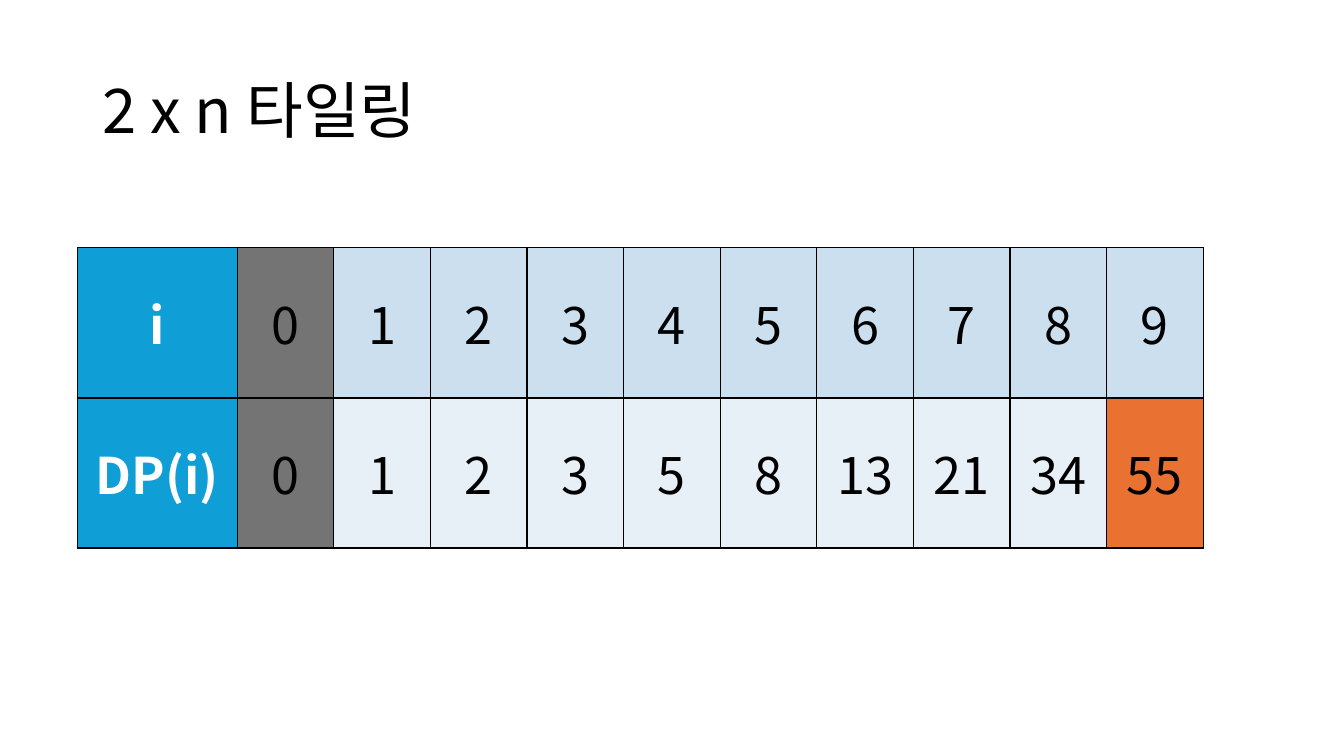
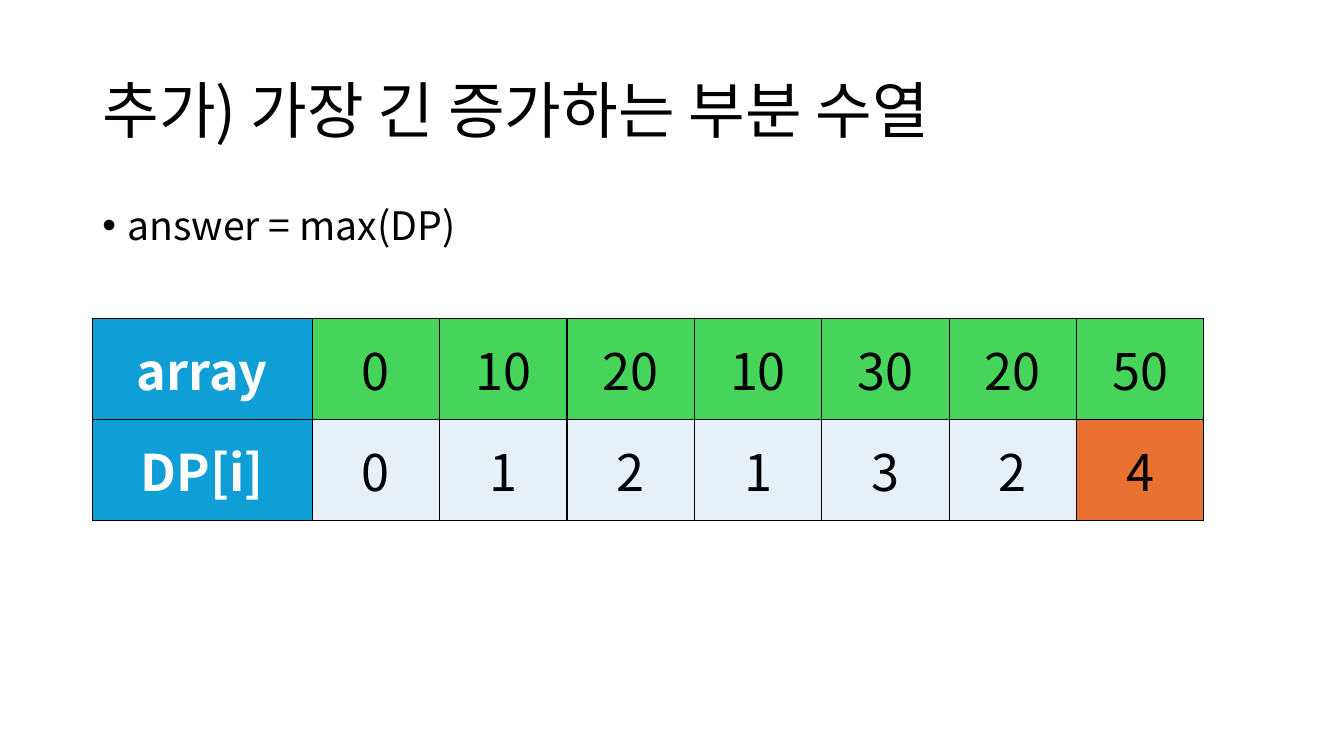
"""Build two slides that show dynamic programming tables."""
from collections import namedtuple

from lxml import etree
from pptx import Presentation
from pptx.dml.color import RGBColor
from pptx.enum.text import MSO_ANCHOR, PP_ALIGN
from pptx.oxml.ns import qn
from pptx.util import Pt

LEFT, CENTER = PP_ALIGN.LEFT, PP_ALIGN.CENTER
TOP, MIDDLE = MSO_ANCHOR.TOP, MSO_ANCHOR.MIDDLE

Box = namedtuple("Box", "left top width height")

FONT = "Noto Sans CJK KR"
COLORS = {
    "text": "000000",
    "paper": "FFFFFF",
    "label": "0F9ED5",
    "unused": "747474",
    "index": "CCDFEF",
    "value": "E7F0F7",
    "array": "47D45A",
    "answer": "E97132",
}
PAGE_WIDTH, PAGE_HEIGHT = 960, 540
TITLE_BOX = Box(66, 28.75, 828, 104.4)
BODY_BOX = Box(66, 143.75, 828, 342.6)
TITLE_SIZE, BODY_SIZE, CELL_SIZE = 44, 28, 36
BORDER_WIDTH = 1
BULLET_INDENT = 18
CONTENT_LAYOUT, TITLE_LAYOUT = 1, 5


def rgb(name):
    return RGBColor.from_string(COLORS[name])


def add_span(para, text, size, color="text", bold=False):
    span = para.add_run()
    span.text = text
    span.font.name = FONT
    span.font.size = Pt(size)
    span.font.bold = bold
    span.font.color.rgb = rgb(color)
    east_asian = etree.SubElement(span.font._element, qn("a:ea"))
    east_asian.set("typeface", FONT)


def fill_placeholder(holder, box, text, size, anchor):
    holder.left, holder.top, holder.width, holder.height = map(Pt, box)
    frame = holder.text_frame
    frame.word_wrap = True
    frame.vertical_anchor = anchor
    para = frame.paragraphs[0]
    para.alignment = LEFT
    para.line_spacing = 0.9
    add_span(para, text, size)
    return para


def add_title(page, text):
    fill_placeholder(page.shapes.title, TITLE_BOX, text, TITLE_SIZE, MIDDLE)


def add_bullet(page, text):
    para = fill_placeholder(page.placeholders[1], BODY_BOX, text, BODY_SIZE, TOP)
    para.space_before = Pt(10)
    properties = para._p.get_or_add_pPr()
    properties.set("marL", str(Pt(BULLET_INDENT)))
    properties.set("indent", str(-Pt(BULLET_INDENT)))


def add_borders(cell):
    properties = cell._tc.get_or_add_tcPr()
    for side in ("lnL", "lnR", "lnT", "lnB"):
        line = etree.SubElement(properties, qn(f"a:{side}"), w=str(Pt(BORDER_WIDTH)))
        solid = etree.SubElement(line, qn("a:solidFill"))
        etree.SubElement(solid, qn("a:srgbClr"), val=COLORS["text"])


def style_cell(cell, text, fill, is_label):
    add_borders(cell)
    cell.fill.solid()
    cell.fill.fore_color.rgb = rgb(fill)
    cell.vertical_anchor = MIDDLE
    para = cell.text_frame.paragraphs[0]
    para.alignment = CENTER
    add_span(para, text, CELL_SIZE, "paper" if is_label else "text", is_label)


def add_value_table(page, box, label_width, rows, fills):
    column_count = len(rows[0])
    table = page.shapes.add_table(len(rows), column_count, *map(Pt, box)).table
    table.first_row = table.horz_banding = False
    value_width = (box.width - label_width) / (column_count - 1)
    for index, column in enumerate(table.columns):
        column.width = Pt(value_width if index else label_width)
    for row in table.rows:
        row.height = Pt(box.height / len(rows))
    for row_index, (texts, row_fills) in enumerate(zip(rows, fills)):
        for column_index, (text, fill) in enumerate(zip(texts, row_fills)):
            cell = table.cell(row_index, column_index)
            style_cell(cell, text, fill, column_index == 0)


def build_tiling_page(deck):
    page = deck.slides.add_slide(deck.slide_layouts[TITLE_LAYOUT])
    add_title(page, "2 x n 타일링")
    rows = [
        ["i", "0", "1", "2", "3", "4", "5", "6", "7", "8", "9"],
        ["DP(i)", "0", "1", "2", "3", "5", "8", "13", "21", "34", "55"],
    ]
    fills = [
        ["label", "unused"] + ["index"] * 9,
        ["label", "unused"] + ["value"] * 8 + ["answer"],
    ]
    add_value_table(page, Box(55.5, 177, 804, 214.5), 114, rows, fills)


def build_subsequence_page(deck):
    page = deck.slides.add_slide(deck.slide_layouts[CONTENT_LAYOUT])
    add_title(page, "추가) 가장 긴 증가하는 부분 수열")
    add_bullet(page, "answer = max(DP)")
    rows = [
        ["array", "0", "10", "20", "10", "30", "20", "50"],
        ["DP[i]", "0", "1", "2", "1", "3", "2", "4"],
    ]
    fills = [
        ["label"] + ["array"] * 7,
        ["label"] + ["value"] * 6 + ["answer"],
    ]
    add_value_table(page, Box(66, 227.5, 794, 144), 157, rows, fills)


def main():
    deck = Presentation()
    deck.slide_width, deck.slide_height = Pt(PAGE_WIDTH), Pt(PAGE_HEIGHT)
    build_tiling_page(deck)
    build_subsequence_page(deck)
    deck.save("out.pptx")


if __name__ == "__main__":
    main()
